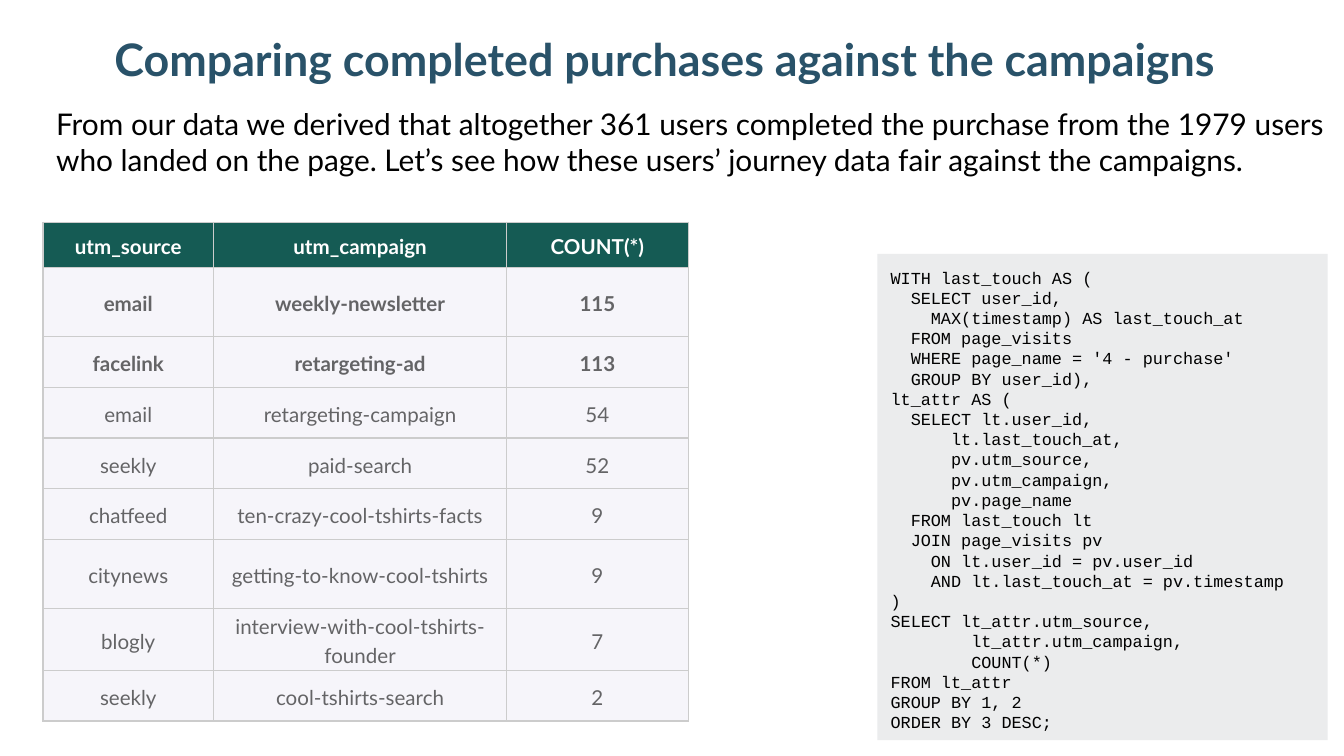
from lxml import etree
from pptx import Presentation
from pptx.dml.color import RGBColor
from pptx.enum.shapes import MSO_SHAPE
from pptx.enum.text import MSO_ANCHOR, PP_ALIGN
from pptx.oxml.ns import qn
from pptx.util import Pt

RECT = MSO_SHAPE.RECTANGLE
TOP, MID = MSO_ANCHOR.TOP, MSO_ANCHOR.MIDDLE
LEFT, MIDDLE, FULL = PP_ALIGN.LEFT, PP_ALIGN.CENTER, PP_ALIGN.JUSTIFY

TITLE = "Comparing completed purchases against the campaigns"
INTRO = (
    "From our data we derived that altogether 361 users completed the purchase "
    "from the 1979 users who landed on the page. Let’s see how these users’ "
    "journey data fair against the campaigns. "
)
ROWS = [
    ("utm_source", "utm_campaign", "COUNT(*)"),
    ("email", "weekly-newsletter", "115"),
    ("facelink", "retargeting-ad", "113"),
    ("email", "retargeting-campaign", "54"),
    ("seekly", "paid-search", "52"),
    ("chatfeed", "ten-crazy-cool-tshirts-facts", "9"),
    ("citynews", "getting-to-know-cool-tshirts", "9"),
    ("blogly", "interview-with-cool-tshirts-founder", "7"),
    ("seekly", "cool-tshirts-search", "2"),
]
QUERY = """WITH last_touch AS (
  SELECT user_id,
    MAX(timestamp) AS last_touch_at
  FROM page_visits
  WHERE page_name = '4 - purchase'
  GROUP BY user_id),
lt_attr AS (
  SELECT lt.user_id,
      lt.last_touch_at,
      pv.utm_source,
      pv.utm_campaign,
      pv.page_name
  FROM last_touch lt
  JOIN page_visits pv
    ON lt.user_id = pv.user_id
    AND lt.last_touch_at = pv.timestamp
)
SELECT lt_attr.utm_source,
        lt_attr.utm_campaign,
        COUNT(*)
FROM lt_attr
GROUP BY 1, 2
ORDER BY 3 DESC;"""

HUES = {
    "title": "295269", "head": "155B54", "body": "F6F5FA", "grid": "CCCCCC",
    "text": "646466", "code": "EBECED", "white": "FFFFFF", "black": "000000",
}
EDGE = 23
COLS = [91.5, 157, 97.2]
HEAD, LOW, TALL = 24.5, 27.2, 36.8
HIGH = {1, 6}
BOLD = 3


def hue(name):
    return RGBColor.from_string(HUES[name])


def write(frame, text, size=11, font="Lato", color="black", bold=False,
          align=LEFT, space=None):
    frame.word_wrap = True
    for i, line in enumerate(text.split("\n")):
        para = frame.paragraphs[0] if i == 0 else frame.add_paragraph()
        para.alignment = align
        if space:
            para.line_spacing = space
        run = para.add_run()
        run.text = line
        run.font.size = Pt(size)
        run.font.name = font
        run.font.bold = bold
        run.font.color.rgb = hue(color)


def inset(item, x, y):
    item.margin_left = item.margin_right = Pt(x)
    item.margin_top = item.margin_bottom = Pt(y)


def label(slide, area, text, **form):
    frame = slide.shapes.add_textbox(*map(Pt, area)).text_frame
    inset(frame, 7.2, 7.2)
    write(frame, text, **form)


def border(cell):
    props = cell._tc.get_or_add_tcPr()
    for i, side in enumerate(("a:lnL", "a:lnR", "a:lnT", "a:lnB")):
        line = etree.Element(qn(side), w=str(Pt(0.75)))
        fill = etree.SubElement(line, qn("a:solidFill"))
        etree.SubElement(fill, qn("a:srgbClr"), val=HUES["grid"])
        props.insert(i, line)


def grid(slide, x, y):
    tall = [HEAD] + [TALL if i in HIGH else LOW for i in range(1, len(ROWS))]
    area = map(Pt, (x, y, sum(COLS), sum(tall)))
    table = slide.shapes.add_table(len(ROWS), len(COLS), *area).table
    for col, width in zip(table.columns, COLS):
        col.width = Pt(width)
    for i, (row, height) in enumerate(zip(table.rows, tall)):
        row.height = Pt(height)
        for cell, text in zip(row.cells, ROWS[i]):
            cell.fill.solid()
            cell.fill.fore_color.rgb = hue("body" if i else "head")
            cell.vertical_anchor = MID
            inset(cell, 2.2, 1.5)
            border(cell)
            write(cell.text_frame, text, color="text" if i else "white",
                  bold=i < BOLD, align=MIDDLE, space=1.15)


def panel(slide, area):
    box = slide.shapes.add_shape(RECT, *map(Pt, area))
    box.shadow.inherit = False
    box.fill.solid()
    box.fill.fore_color.rgb = hue("code")
    box.line.fill.background()
    box.text_frame.vertical_anchor = TOP
    inset(box.text_frame, 7.2, 7.2)
    write(box.text_frame, QUERY, size=9, font="Courier New")


def main():
    deck = Presentation()
    deck.slide_width, deck.slide_height = Pt(720), Pt(405)
    slide = deck.slides.add_slide(deck.slide_layouts[6])
    label(slide, (EDGE, 10, 666, 45), TITLE, size=24, color="title",
          bold=True, align=MIDDLE)
    grid(slide, EDGE, 119)
    panel(slide, (470, 136, 241.2, 260.5))
    label(slide, (EDGE, 49.7, 694, 53), INTRO, size=16, align=FULL)
    deck.save("out.pptx")


if __name__ == "__main__":
    main()
